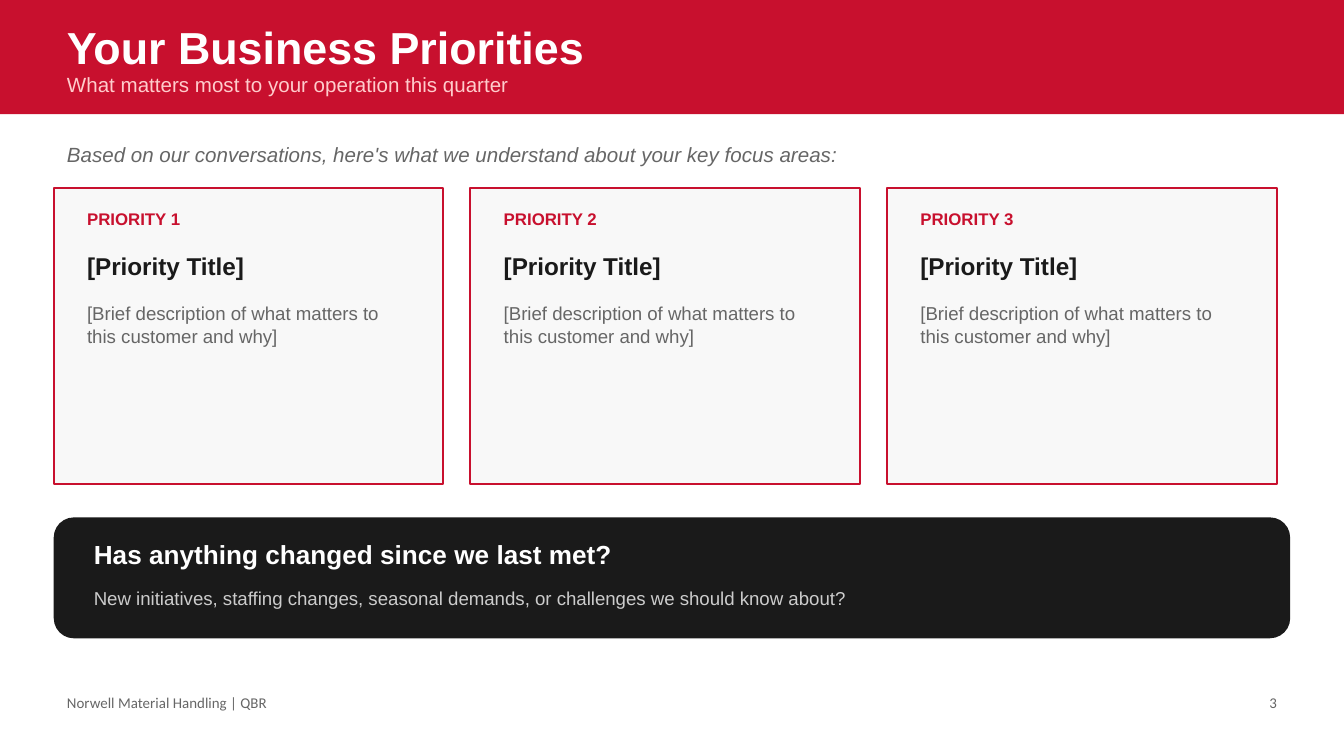
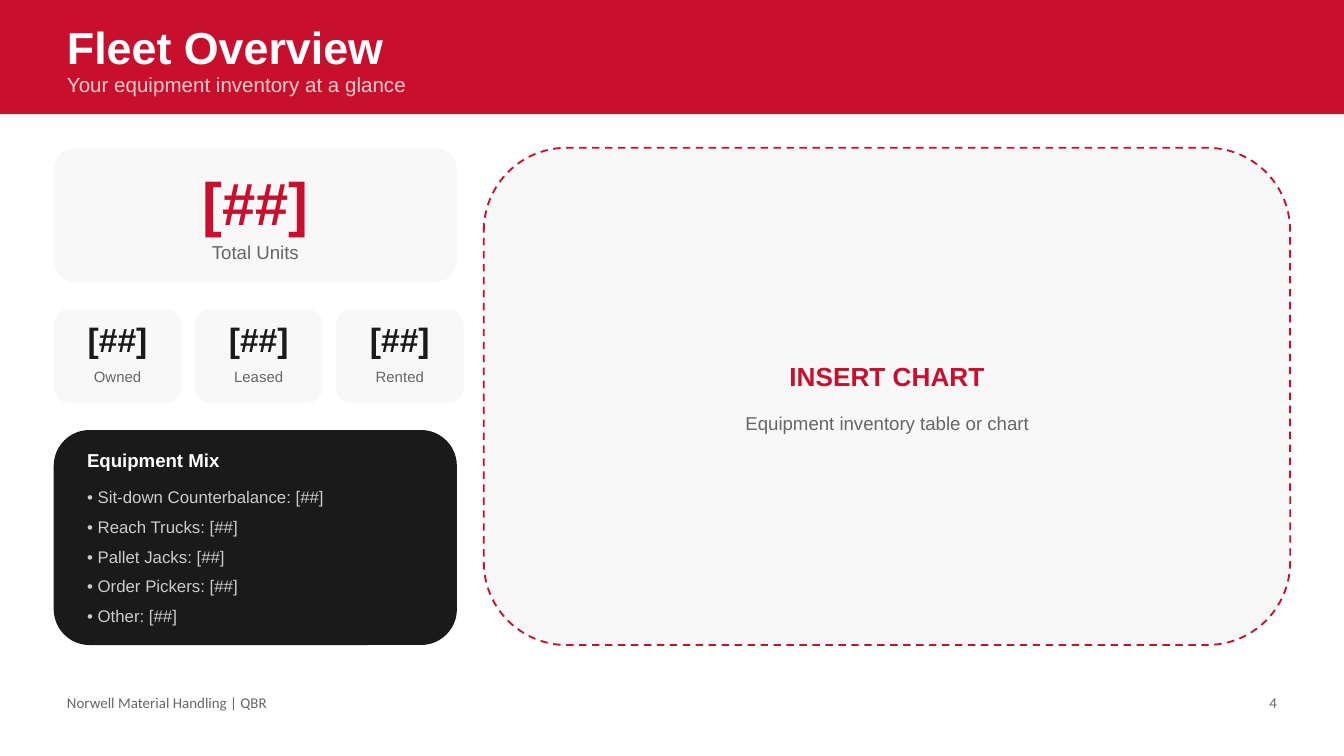
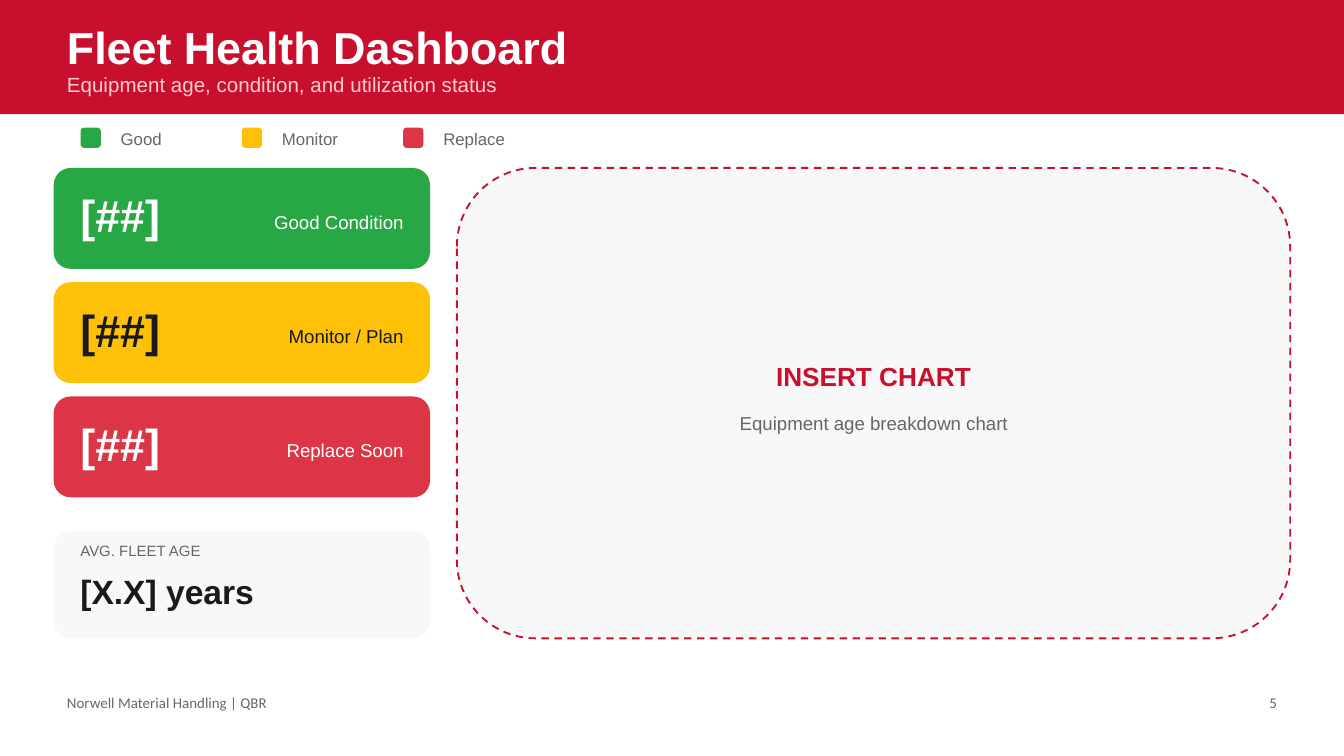
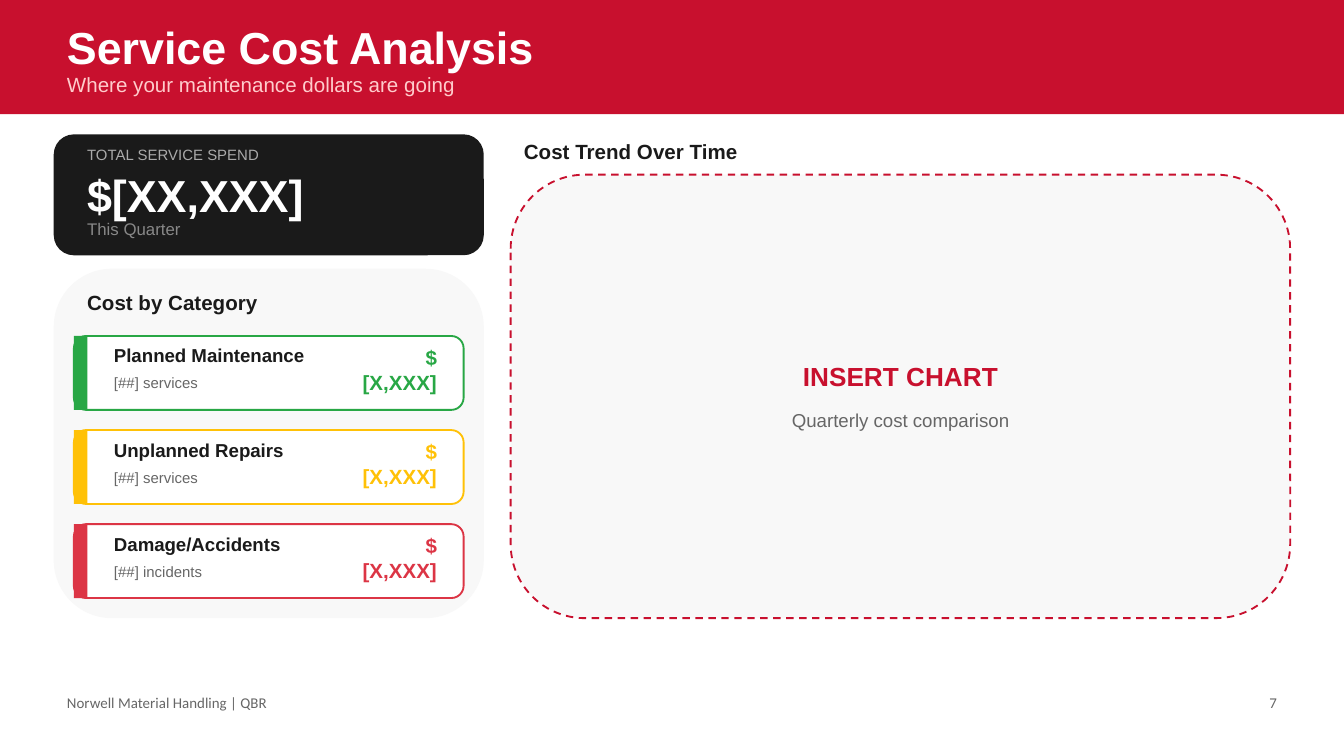
import dataclasses
import typing

import pptx
import pptx.dml.color
import pptx.enum.dml
import pptx.enum.shapes
import pptx.enum.text
import pptx.util

PX = 9144  # EMU per px, 100 px to the inch
WIDE = 1000
EDGE = 40  # left margin

HUES = {
    "red": "C8102E", "pink": "FFCCCC", "white": "FFFFFF", "black": "1A1A1A",
    "pale": "F8F8F8", "gray": "666666", "light": "CCCCCC", "silver": "AAAAAA",
    "dim": "888888", "good": "28A745", "watch": "FFC107", "bad": "DC3545",
}

RECT = pptx.enum.shapes.MSO_SHAPE.RECTANGLE
ROUND = pptx.enum.shapes.MSO_SHAPE.ROUNDED_RECTANGLE
LEFT = pptx.enum.text.PP_ALIGN.LEFT
MID = pptx.enum.text.PP_ALIGN.CENTER
RIGHT = pptx.enum.text.PP_ALIGN.RIGHT
DASH = pptx.enum.dml.MSO_LINE.DASH


class Box(typing.NamedTuple):
    x: int
    y: int
    w: int
    h: int


@dataclasses.dataclass(frozen=True)
class Style:
    size: int
    hue: str
    bold: bool = False
    slant: bool = False
    align: int = LEFT
    font: str = "Arial"
    top: bool = False


class Card(typing.NamedTuple):
    hue: str
    label: str
    note: str


class Status(typing.NamedTuple):
    hue: str
    key: str
    label: str
    ink: str


# Shared text styles
TITLE = Style(24, "white", bold=True)
LEAD = Style(11, "pink")
FOOT = Style(8, "gray", font="Calibri")
BODY = Style(10, "gray")
SMALL = Style(8, "gray")
HEAD = Style(11, "black", bold=True)
COUNT = Style(18, "black", bold=True)


def restyle(style: Style, **change: typing.Any) -> Style:
    return dataclasses.replace(style, **change)


def place(box: Box) -> list[int]:
    return [side * PX for side in box]


def tint(name: str) -> pptx.dml.color.RGBColor:
    return pptx.dml.color.RGBColor.from_string(HUES[name])


def panel(slide: typing.Any, box: Box, fill: str, form: int = ROUND,
          edge: str = "", dash: bool = False) -> None:
    shape = slide.shapes.add_shape(form, *place(box))
    shape.shadow.inherit = False
    shape.fill.solid()
    shape.fill.fore_color.rgb = tint(fill)
    if not edge:
        shape.line.fill.background()
        return
    shape.line.color.rgb = tint(edge)
    shape.line.width = pptx.util.Pt(1)
    if dash:
        shape.line.dash_style = DASH


def write(slide: typing.Any, box: Box, words: str, style: Style) -> None:
    frame = slide.shapes.add_textbox(*place(box)).text_frame
    frame.word_wrap = True
    anchor = pptx.enum.text.MSO_ANCHOR
    frame.vertical_anchor = anchor.TOP if style.top else anchor.MIDDLE
    para = frame.paragraphs[0]
    para.alignment = style.align
    run = para.add_run()
    run.text = words
    run.font.name = style.font
    run.font.size = pptx.util.Pt(style.size)
    run.font.bold = style.bold
    run.font.italic = style.slant
    run.font.color.rgb = tint(style.hue)


def begin(deck: typing.Any, title: str, lead: str, page: int) -> typing.Any:
    """Add a slide with its band, title and footer."""
    slide = deck.slides.add_slide(deck.slide_layouts[6])
    slide.background.fill.solid()
    slide.background.fill.fore_color.rgb = tint("white")
    panel(slide, Box(0, 0, WIDE, 85), "red", RECT)
    write(slide, Box(EDGE, 15, 900, 40), title, TITLE)
    write(slide, Box(EDGE, 50, 900, 25), lead, LEAD)
    write(slide, Box(EDGE, 510, 400, 25), "Norwell Material Handling | QBR", FOOT)
    write(slide, Box(910, 510, 50, 25), str(page), restyle(FOOT, align=RIGHT))
    return slide


def chart_slot(slide: typing.Any, box: Box, note: str, deep: int = 30) -> None:
    """Draw the dashed area that awaits a chart."""
    panel(slide, box, "pale", edge="red", dash=True)
    write(slide, Box(box.x, 260, box.w, 40), "INSERT CHART",
          Style(14, "red", bold=True, align=MID))
    write(slide, Box(box.x, 300, box.w, deep), note, restyle(BODY, align=MID))


def goals(deck: typing.Any) -> None:
    slide = begin(deck, "Your Business Priorities",
                  "What matters most to your operation this quarter", 3)
    write(slide, Box(EDGE, 100, 900, 30),
          "Based on our conversations, here's what we understand about your key focus areas:",
          Style(11, "gray", slant=True))
    # Three cards
    for i in range(3):
        x = EDGE + i * 310
        panel(slide, Box(x, 140, 290, 220), "pale", RECT, "red")
        write(slide, Box(x + 15, 150, 260, 25), f"PRIORITY {i + 1}",
              Style(9, "red", bold=True))
        write(slide, Box(x + 15, 180, 260, 35), "[Priority Title]",
              Style(13, "black", bold=True))
        write(slide, Box(x + 15, 220, 260, 100),
              "[Brief description of what matters to this customer and why]",
              restyle(BODY, top=True))
    # Closing question
    panel(slide, Box(EDGE, 385, 920, 90), "black")
    write(slide, Box(60, 395, 880, 35), "Has anything changed since we last met?",
          Style(14, "white", bold=True))
    write(slide, Box(60, 430, 880, 30),
          "New initiatives, staffing changes, seasonal demands, or challenges we should know about?",
          Style(10, "light"))


def fleet(deck: typing.Any) -> None:
    slide = begin(deck, "Fleet Overview", "Your equipment inventory at a glance", 4)
    # Total
    panel(slide, Box(EDGE, 110, 300, 100), "pale")
    write(slide, Box(EDGE, 120, 300, 60), "[##]",
          Style(32, "red", bold=True, align=MID))
    write(slide, Box(EDGE, 175, 300, 25), "Total Units", restyle(BODY, align=MID))
    # Split by tenure
    for i, label in enumerate(("Owned", "Leased", "Rented")):
        x = EDGE + i * 105
        panel(slide, Box(x, 230, 95, 70), "pale")
        write(slide, Box(x, 235, 95, 35), "[##]", restyle(COUNT, align=MID))
        write(slide, Box(x, 270, 95, 20), label, restyle(SMALL, align=MID))
    # Mix list
    panel(slide, Box(EDGE, 320, 300, 160), "black")
    write(slide, Box(55, 330, 270, 25), "Equipment Mix", Style(10, "white", bold=True))
    kinds = ("Sit-down Counterbalance", "Reach Trucks", "Pallet Jacks",
             "Order Pickers", "Other")
    for i, kind in enumerate(kinds):
        write(slide, Box(55, 360 + i * 22, 270, 20), f"• {kind}: [##]",
              Style(9, "light"))
    chart_slot(slide, Box(360, 110, 600, 370), "Equipment inventory table or chart")


def health(deck: typing.Any) -> None:
    slide = begin(deck, "Fleet Health Dashboard",
                  "Equipment age, condition, and utilization status", 5)
    states = (
        Status("good", "Good", "Good Condition", "white"),
        Status("watch", "Monitor", "Monitor / Plan", "black"),
        Status("bad", "Replace", "Replace Soon", "white"),
    )
    # Legend
    for i, state in enumerate(states):
        x = 60 + i * 120
        panel(slide, Box(x, 95, 15, 15), state.hue)
        write(slide, Box(x + 20, 93, 80, 20), state.key, Style(9, "gray"))
    # Status bars
    for i, state in enumerate(states):
        y = 125 + i * 85
        panel(slide, Box(EDGE, y, 280, 75), state.hue)
        write(slide, Box(50, y + 10, 120, 50), "[##]",
              Style(24, state.ink, bold=True))
        write(slide, Box(170, y + 20, 140, 40), state.label,
              Style(10, state.ink, align=RIGHT))
    # Average age
    panel(slide, Box(EDGE, 395, 280, 80), "pale")
    write(slide, Box(50, 400, 260, 20), "AVG. FLEET AGE", SMALL)
    write(slide, Box(50, 420, 260, 40), "[X.X] years", COUNT)
    chart_slot(slide, Box(340, 125, 620, 350), "Equipment age breakdown chart")


def costs(deck: typing.Any) -> None:
    slide = begin(deck, "Service Cost Analysis",
                  "Where your maintenance dollars are going", 7)
    # Total spend
    panel(slide, Box(EDGE, 100, 320, 90), "black")
    write(slide, Box(55, 105, 290, 20), "TOTAL SERVICE SPEND", Style(8, "silver"))
    write(slide, Box(55, 125, 290, 40), "$[XX,XXX]", TITLE)
    write(slide, Box(55, 160, 290, 20), "This Quarter", Style(9, "dim"))
    # Cost cards
    panel(slide, Box(EDGE, 200, 320, 260), "pale")
    write(slide, Box(55, 210, 290, 30), "Cost by Category", HEAD)
    cards = (
        Card("good", "Planned Maintenance", "[##] services"),
        Card("watch", "Unplanned Repairs", "[##] services"),
        Card("bad", "Damage/Accidents", "[##] incidents"),
    )
    for i, card in enumerate(cards):
        y = 250 + i * 70
        panel(slide, Box(55, y, 290, 55), "white", edge=card.hue)
        panel(slide, Box(55, y, 10, 55), card.hue, RECT)
        write(slide, Box(75, y + 2, 180, 25), card.label, restyle(HEAD, size=10))
        write(slide, Box(75, y + 25, 180, 20), card.note, SMALL)
        write(slide, Box(255, y + 10, 80, 30), "$[X,XXX]",
              restyle(HEAD, hue=card.hue, align=RIGHT))
    # Trend
    write(slide, Box(380, 100, 580, 25), "Cost Trend Over Time", HEAD)
    chart_slot(slide, Box(380, 130, 580, 330), "Quarterly cost comparison", 25)


def main() -> None:
    deck = pptx.Presentation()
    deck.slide_width = WIDE * PX
    deck.slide_height = WIDE * PX * 9 // 16
    for build in (goals, fleet, health, costs):
        build(deck)
    deck.save("out.pptx")


if __name__ == "__main__":
    main()
